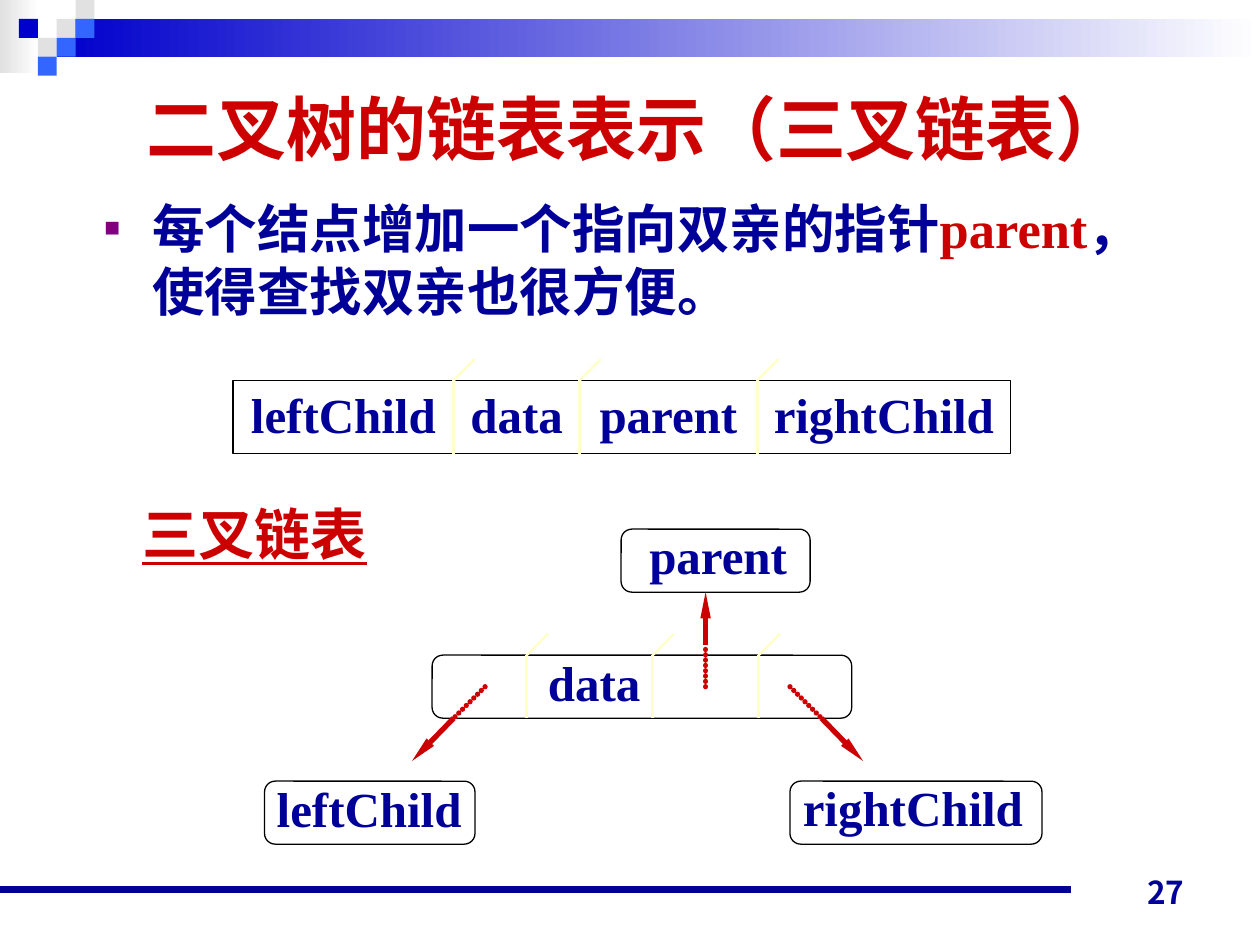
"""Build a slide on the three-pointer linked form of a binary tree."""
from lxml import etree
from pptx import Presentation
from pptx.dml.color import RGBColor
from pptx.enum.shapes import MSO_CONNECTOR, MSO_SHAPE
from pptx.enum.text import MSO_ANCHOR, PP_ALIGN
from pptx.oxml.ns import qn
from pptx.util import Inches, Pt

RECT, ROUND = MSO_SHAPE.RECTANGLE, MSO_SHAPE.ROUNDED_RECTANGLE
LINE = MSO_CONNECTOR.STRAIGHT
TOP, MID, LOW = MSO_ANCHOR.TOP, MSO_ANCHOR.MIDDLE, MSO_ANCHOR.BOTTOM
LEFT, MAIN, RIGHT = PP_ALIGN.LEFT, PP_ALIGN.CENTER, PP_ALIGN.RIGHT

NAVY = RGBColor(0x00, 0x00, 0x99)
BLUE = RGBColor(0x00, 0x00, 0xCC)
SKY = RGBColor(0x33, 0x66, 0xFF)
GREY = RGBColor(0xE1, 0xE1, 0xE1)
WHITE = RGBColor(0xFF, 0xFF, 0xFF)
BLACK = RGBColor(0x00, 0x00, 0x00)
RED = RGBColor(0xCC, 0x00, 0x00)
CREAM = RGBColor(0xFF, 0xFF, 0xCC)
SERIF, SANS, CJK = "Times New Roman", "Arial", "Noto Sans CJK JP"

TITLE = "二叉树的链表表示（三叉链表）"
BODY = [("每个结点增加一个指向双亲的指针", NAVY), ("parent", RED),
        ("，使得查找双亲也很方便。", NAVY)]
FADES = [((0, 0, 0.31, 0.58), GREY), ((0.45, 0.15, 9.55, 0.3), BLUE)]
STEP = 0.15
TILES = [(3, 1, GREY), (4, 0, GREY), (4, 1, SKY), (2, 2, GREY),
         (1, 1, BLUE), (3, 2, SKY), (2, 3, SKY)]
FIELDS = ["leftChild", "data", "parent", "rightChild"]
EDGES = [1.85, 3.6, 4.6, 6.01, 8.02]
CUTS = [4.18, 5.18, 6.02]
NODES = [(4.93, 4.2, 1.5), (3.43, 5.2, 3.33), (6.27, 6.2, 2), (2.1, 6.2, 1.67)]
LABELS = [("parent", 5.05, 4.12, 1.3), ("data", 4.25, 5.13, 0.93),
          ("leftChild", 2.1, 6.13, 1.66), ("rightChild", 6.27, 6.12, 1.95)]
LINKS = [((5.6, 5.45), (5.6, 5.12), (5.6, 4.7)),
         ((3.85, 5.45), (3.6, 5.7), (3.27, 6.04)),
         ((6.27, 5.45), (6.52, 5.7), (6.85, 6.04))]

deck = Presentation()
deck.slide_width, deck.slide_height = Inches(10), Inches(7.5)
slide = deck.slides.add_slide(deck.slide_layouts[6])
shapes = slide.shapes


def add_box(kind, at, fill, edge=None):
    box = shapes.add_shape(kind, *map(Inches, at))
    box.shadow.inherit = False
    box.fill.solid()
    box.fill.fore_color.rgb = fill
    if edge is None:
        box.line.fill.background()
    else:
        box.line.color.rgb = edge
        box.line.width = Pt(0.75)
    return box


def add_line(start, end, hue, width):
    line = shapes.add_connector(LINE, *map(Inches, start + end))
    line.line.color.rgb = hue
    line.line.width = Pt(width)
    etree.SubElement(line._element.spPr, qn("a:effectLst"))
    return line


def add_text(at, parts, size, font=SERIF, align=MAIN, anchor=MID, wrap=True):
    frame = shapes.add_textbox(*map(Inches, at)).text_frame
    frame.word_wrap = wrap
    frame.vertical_anchor = anchor
    if not wrap:
        frame.margin_left = frame.margin_right = 0
    para = frame.paragraphs[0]
    para.alignment = align
    for words, hue in parts:
        run = para.add_run()
        run.text = words
        run.font.size, run.font.name, run.font.bold = Pt(size), font, True
        run.font.color.rgb = hue
    return para


def add_cut(x, top, height):
    add_line((x, top + height), (x, top), CREAM, 1.5)
    add_line((x, top), (x + 0.17, top - 0.17), CREAM, 1.5)


for at, hue in FADES:
    fill = add_box(RECT, at, hue).fill
    fill.gradient()
    fill.gradient_angle = 0
    for stop, shade, spot in zip(fill.gradient_stops, (hue, WHITE), (0, 1)):
        stop.color.rgb = shade
        stop.position = spot
for col, row, hue in TILES:
    add_box(RECT, (col * STEP, row * STEP, STEP, STEP), hue)
add_line((0, 7.06), (8.5, 7.06), NAVY, 4.5)
add_text((7.17, 6.78, 2.33, 0.5), [("27", NAVY)], 18, CJK, RIGHT, LOW)

add_box(RECT, (EDGES[0], 3.02, EDGES[-1] - EDGES[0], 0.58), WHITE, BLACK)
for x in EDGES[1:-1]:
    add_cut(x, 3.02, 0.58)
for word, x, end in zip(FIELDS, EDGES, EDGES[1:]):
    add_text((x, 3, end - x, 0.57), [(word, NAVY)], 28, wrap=False)

for x, y, width in NODES:
    add_box(ROUND, (x, y, width, 0.5), WHITE, BLACK).adjustments[0] = 0.17
for word, x, y, width in LABELS:
    add_text((x, y, width, 0.57), [(word, NAVY)], 28, wrap=False)
for x in CUTS:
    add_cut(x, 5.2, 0.5)
for start, bend, end in LINKS:
    dots = add_line(start, bend, RED, 3).line._ln
    dots.set("cap", "rnd")
    dash = etree.SubElement(dots, qn("a:custDash"))
    etree.SubElement(dash, qn("a:ds"), d="1000", sp="100000")
    arrow = add_line(bend, end, RED, 3)
    etree.SubElement(arrow.line._ln, qn("a:tailEnd"),
                     type="triangle", w="sm", len="lg")

name = add_text((1.03, 3.91, 1.98, 0.64), [("三叉链表", RED)], 32, wrap=False)
name.runs[0].font.underline = True
add_text((0.55, 0.48, 9, 1.06), [(TITLE, RED)], 40, SANS)
body = add_text((0.73, 1.51, 8.72, 1.14), BODY, 30, align=LEFT, anchor=TOP)
body.space_before = Pt(7.5)
props = body._p.get_or_add_pPr()
props.set("marL", str(Inches(0.38)))
props.set("indent", str(Inches(-0.38)))
tint = etree.SubElement(props, qn("a:buClr"))
etree.SubElement(tint, qn("a:srgbClr"), val="800080")
etree.SubElement(props, qn("a:buSzPct"), val="50000")
etree.SubElement(props, qn("a:buFont"), typeface=SANS)
etree.SubElement(props, qn("a:buChar"), char="■")

deck.save("out.pptx")
